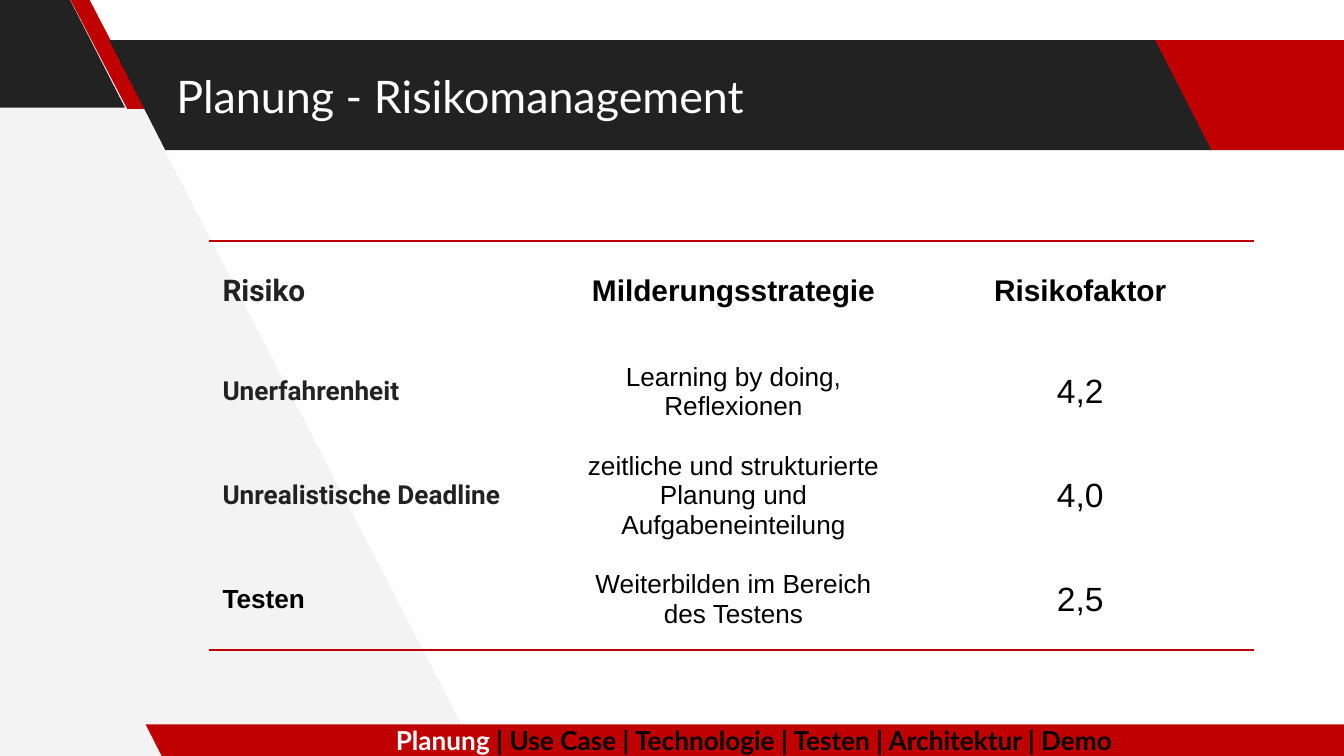
import pptx
import pptx.util
import pptx.dml.color
import pptx.enum.shapes
import pptx.enum.text
import pptx.oxml
import pptx.oxml.ns

Pt = pptx.util.Pt
MIDDLE = pptx.enum.text.MSO_ANCHOR.MIDDLE
ALIGN = pptx.enum.text.PP_ALIGN
RED, DARK, PALE, WHITE, BLACK = "C00000", "222222", "F3F3F3", "FFFFFF", "000000"


def paint(target, color):
    target.solid()
    target.fore_color.rgb = pptx.dml.color.RGBColor.from_string(color)


def style(font, name, size, color, bold=False):
    font.name, font.size, font.bold = name, Pt(size), bold
    paint(font.fill, color)


deck = pptx.Presentation()
deck.slide_width, deck.slide_height = Pt(720), Pt(405)
slide = deck.slides.add_slide(deck.slide_layouts[5])
shapes = slide.shapes

outline = shapes.build_freeform(256.3, 405, scale=Pt(1))
outline.add_line_segments([(44.6, -3), (-4.3, -3), (-1.4, 407.5)])
wedge = outline.convert_to_shape()
wedge.shadow.inherit = False
paint(wedge.fill, PALE)
wedge.line.fill.background()

bands = [
    (-71.5, -1.3, 138.5, 59, 0.51, DARK),
    (37.5, -0.6, 41, 59, 0.75, RED),
    (58.5, 21.5, 591, 59, 0.51, DARK),
    (619, 21.5, 138.5, 59, 0.51, RED),
    (78, 388, 659, 18, 0.51, RED),
]
for left, top, width, height, slant, color in bands:
    band = shapes.add_shape(pptx.enum.shapes.MSO_SHAPE.PARALLELOGRAM,
                            Pt(left), Pt(top), Pt(width), Pt(height))
    band.adjustments[0] = slant
    band._element.spPr.xfrm.set("flipH", "1")
    band.shadow.inherit = False
    paint(band.fill, color)
    band.line.fill.background()

title = shapes.title
shapes._spTree.append(title._element)
title.left, title.top, title.width, title.height = Pt(87.3), Pt(21.5), Pt(529), Pt(59)
title.text = "Planung - Risikomanagement"
heading = title.text_frame
heading.vertical_anchor = MIDDLE
heading.margin_left = heading.margin_right = Pt(7.2)
heading.margin_top = heading.margin_bottom = Pt(7.2)
heading.paragraphs[0].alignment = ALIGN.LEFT
style(heading.paragraphs[0].font, "Lato", 24, WHITE)

risks = [
    ("Risiko", "Milderungsstrategie", "Risikofaktor"),
    ("Unerfahrenheit", "Learning by doing, Reflexionen", "4,2"),
    ("Unrealistische Deadline",
     "zeitliche und strukturierte Planung und Aufgabeneinteilung", "4,0"),
    ("Testen", "Weiterbilden im Bereich des Testens", "2,5"),
]
last = len(risks) - 1
risk_frame = shapes.add_table(len(risks), 3, Pt(112), Pt(129), Pt(560), Pt(216))
risk_table = risk_frame.table
risk_table.first_row = risk_table.horz_banding = False
risk_table._tbl.tblPr.find(pptx.oxml.ns.qn("a:tableStyleId")).text = (
    "{2D5ABB26-0587-4C30-8999-92F81FD0307C}")
for column, width in zip(risk_table.columns, (188.5, 185, 186.5)):
    column.width = Pt(width)

for row, entries in enumerate(risks):
    risk_table.rows[row].height = Pt(54)
    for col, entry in enumerate(entries):
        cell = risk_table.cell(row, col)
        cell.text = entry
        cell.vertical_anchor = MIDDLE
        cell.margin_left = cell.margin_right = Pt(7.2)
        cell.margin_top = cell.margin_bottom = Pt(5)
        if row in (0, last):
            edge = "lnT" if row == 0 else "lnB"
            cell._tc.get_or_add_tcPr().append(pptx.oxml.parse_xml(
                f'<a:{edge} {pptx.oxml.ns.nsdecls("a")} w="{Pt(1)}"><a:solidFill>'
                f'<a:srgbClr val="{RED}"/></a:solidFill></a:{edge}>'))
        cell.fill.background()
        paragraph = cell.text_frame.paragraphs[0]
        paragraph.alignment = ALIGN.LEFT if col == 0 else ALIGN.CENTER
        size = 16 if row == 0 else (14, 14, 18)[col]
        roboto = col == 0 and row < last
        style(paragraph.font, "Roboto" if roboto else "Arial", size,
              DARK if roboto else BLACK, row == 0 or col == 0)

agenda = shapes.add_textbox(Pt(88), Pt(384.5), Pt(632), Pt(24.5)).text_frame
agenda.word_wrap = True
topics = agenda.paragraphs[0]
topics.alignment = ALIGN.CENTER
for text, color in [("Planung", WHITE),
                    (" | Use Case | Technologie | Testen | Architektur | Demo", BLACK)]:
    run = topics.add_run()
    run.text = text
    style(run.font, "Lato", 14, color, True)

deck.save("out.pptx")
